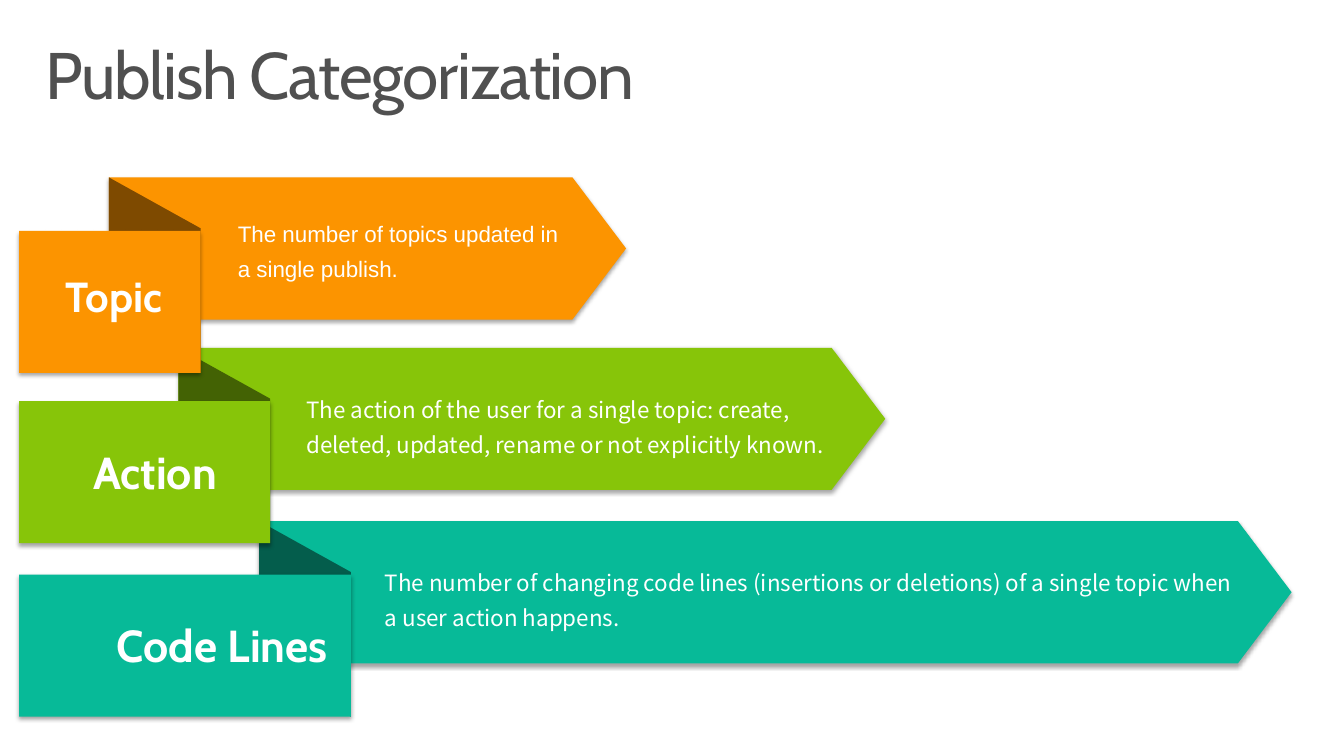
from dataclasses import dataclass

from lxml import etree
from pptx import Presentation
from pptx import util as u
from pptx.dml.color import RGBColor
from pptx.enum import shapes, text
from pptx.oxml.ns import qn

WHITE = RGBColor(0xFF, 0xFF, 0xFF)
GREY = RGBColor(0x50, 0x50, 0x50)
ORANGE, BROWN = RGBColor(0xFC, 0x94, 0x00), RGBColor(0x7E, 0x4A, 0x00)
LIME, MOSS = RGBColor(0x87, 0xC5, 0x09), RGBColor(0x43, 0x62, 0x04)
TEAL, PINE = RGBColor(0x07, 0xBA, 0x98), RGBColor(0x04, 0x5D, 0x4C)

# Grid: 133.3 columns by 75 rows of square cells
COLUMNS, ROWS = 133.3, 75
BAND_HEIGHT = 14.1
BOX_LEFT, BOX_DROP = 1.9, 5.3
FOLD_WIDTH, FOLD_LENGTH = 9.1, 19.4


@dataclass
class Band:
    label: str
    description: str
    left: float
    top: float
    width: float
    color: RGBColor
    fold_color: RGBColor
    label_area: tuple
    label_size: int
    description_area: tuple
    font: str


class CategorySlide:
    heading_font = "Cabin"

    def __init__(self, deck):
        self.slide = deck.slides.add_slide(deck.slide_layouts[5])
        self.column = deck.slide_width / COLUMNS
        self.row = deck.slide_height / ROWS

    def place(self, left, top, width, height):
        return (u.Emu(round(left * self.column)), u.Emu(round(top * self.row)),
                u.Emu(round(width * self.column)), u.Emu(round(height * self.row)))

    def style(self, paragraph, font, size, color, bold=False):
        for run in paragraph.runs:
            run.font.name = font
            run.font.size = u.Pt(size)
            run.font.bold = bold
            run.font.color.rgb = color

    def title(self, words, area):
        heading = self.slide.shapes.title
        heading.left, heading.top, heading.width, heading.height = self.place(*area)
        frame = heading.text_frame
        frame.text = words
        frame.word_wrap = True
        frame.vertical_anchor = text.MSO_ANCHOR.TOP
        frame.margin_left = frame.margin_right = u.Inches(0.16)
        frame.margin_top = frame.margin_bottom = u.Inches(0.1)
        paragraph = frame.paragraphs[0]
        paragraph.alignment = text.PP_ALIGN.LEFT
        paragraph.line_spacing = 0.9
        self.style(paragraph, self.heading_font, 47, GREY)
        paragraph.runs[0].font._element.set("spc", "-100")

    def panel(self, kind, area, color, adjustment=None, rotation=0, shadow=True):
        panel = self.slide.shapes.add_shape(kind, *self.place(*area))
        panel.rotation = rotation
        panel.fill.solid()
        panel.fill.fore_color.rgb = color
        panel.line.fill.background()
        panel.shadow.inherit = False
        if adjustment is not None:
            panel.adjustments[0] = adjustment
        if shadow:
            self.drop_shadow(panel)

    def drop_shadow(self, panel):
        effects = panel._element.spPr.find(qn("a:effectLst"))
        outer = etree.SubElement(effects, qn("a:outerShdw"), blurRad=str(u.Pt(3.1)),
                                 dist=str(u.Pt(1.8)), dir="5400000", algn="t",
                                 rotWithShape="0")
        black = etree.SubElement(outer, qn("a:srgbClr"), val="000000")
        etree.SubElement(black, qn("a:alpha"), val="35000")

    def words(self, content, area, font, size, wrap=True, bold=False,
              align=text.PP_ALIGN.LEFT, spacing=None):
        frame = self.slide.shapes.add_textbox(*self.place(*area)).text_frame
        frame.text = content
        frame.word_wrap = wrap
        frame.auto_size = text.MSO_AUTO_SIZE.SHAPE_TO_FIT_TEXT
        paragraph = frame.paragraphs[0]
        paragraph.alignment = align
        paragraph.line_spacing = spacing
        self.style(paragraph, font, size, WHITE, bold)

    def band(self, band):
        kinds = shapes.MSO_SHAPE
        # Arrow behind
        self.panel(kinds.PENTAGON, (band.left, band.top, band.width, BAND_HEIGHT),
                   band.color, adjustment=0.377)
        # Fold, turned upright about its centre
        middle_x = band.left + FOLD_WIDTH / 2
        middle_y = band.top + 9.7
        self.panel(kinds.PARALLELOGRAM,
                   (middle_x - FOLD_LENGTH / 2, middle_y - FOLD_WIDTH / 2,
                    FOLD_LENGTH, FOLD_WIDTH),
                   band.fold_color, adjustment=0.555, rotation=270, shadow=False)
        # Box in front, ending where the fold ends
        self.panel(kinds.RECTANGLE,
                   (BOX_LEFT, band.top + BOX_DROP,
                    band.left + FOLD_WIDTH - BOX_LEFT, BAND_HEIGHT), band.color)
        # Label and description
        self.words(band.label, band.label_area, self.heading_font, band.label_size,
                   wrap=False, bold=True, align=text.PP_ALIGN.RIGHT)
        self.words(band.description, band.description_area, band.font, 16, spacing=1.3)


BANDS = [
    Band("Topic", "The number of topics updated in a single publish.",
         10.8, 17.6, 51.3, ORANGE, BROWN, (4.1, 26.3, 13, 6.1), 30,
         (22.6, 20.6, 34.8, 8), "Arial"),
    Band("Action", "The action of the user for a single topic: create, deleted, "
         "updated, rename or not explicitly known.",
         17.7, 34.5, 70.1, LIME, MOSS, (6.3, 43.6, 16.2, 6.4), 32,
         (29.4, 38, 57.3, 8), "Noto Sans CJK SC"),
    Band("Code Lines", "The number of changing code lines (insertions or deletions) "
         "of a single topic when a user action happens.",
         25.7, 51.7, 102.4, TEAL, PINE, (7.4, 60.8, 26.1, 6.4), 32,
         (37.2, 55.2, 87.6, 8), "Noto Sans CJK SC"),
]


def main():
    deck = Presentation()
    deck.slide_width, deck.slide_height = u.Inches(13.33), u.Inches(7.5)
    page = CategorySlide(deck)
    page.title("Publish Categorization", (2.9, 3.2, 127.4, 9.8))
    # Each band overlaps the one below it
    for band in reversed(BANDS):
        page.band(band)
    deck.save("out.pptx")


if __name__ == "__main__":
    main()
